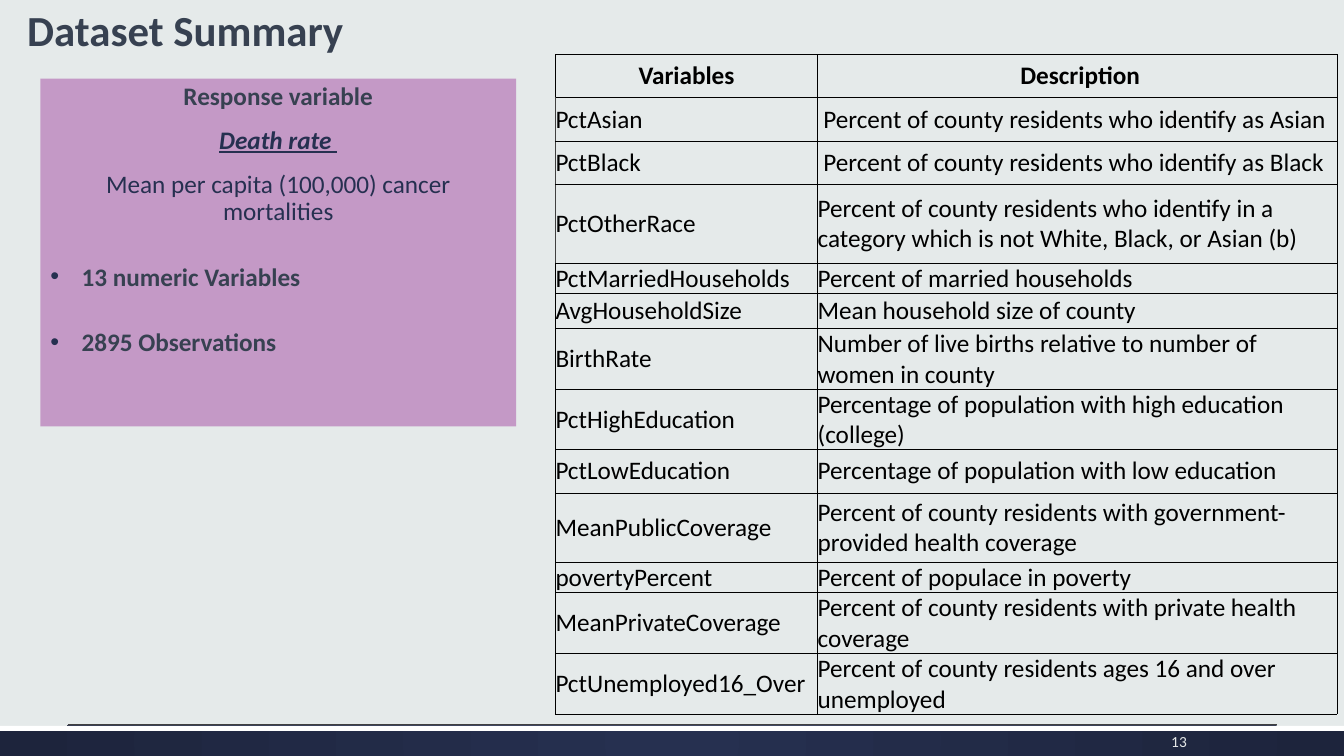
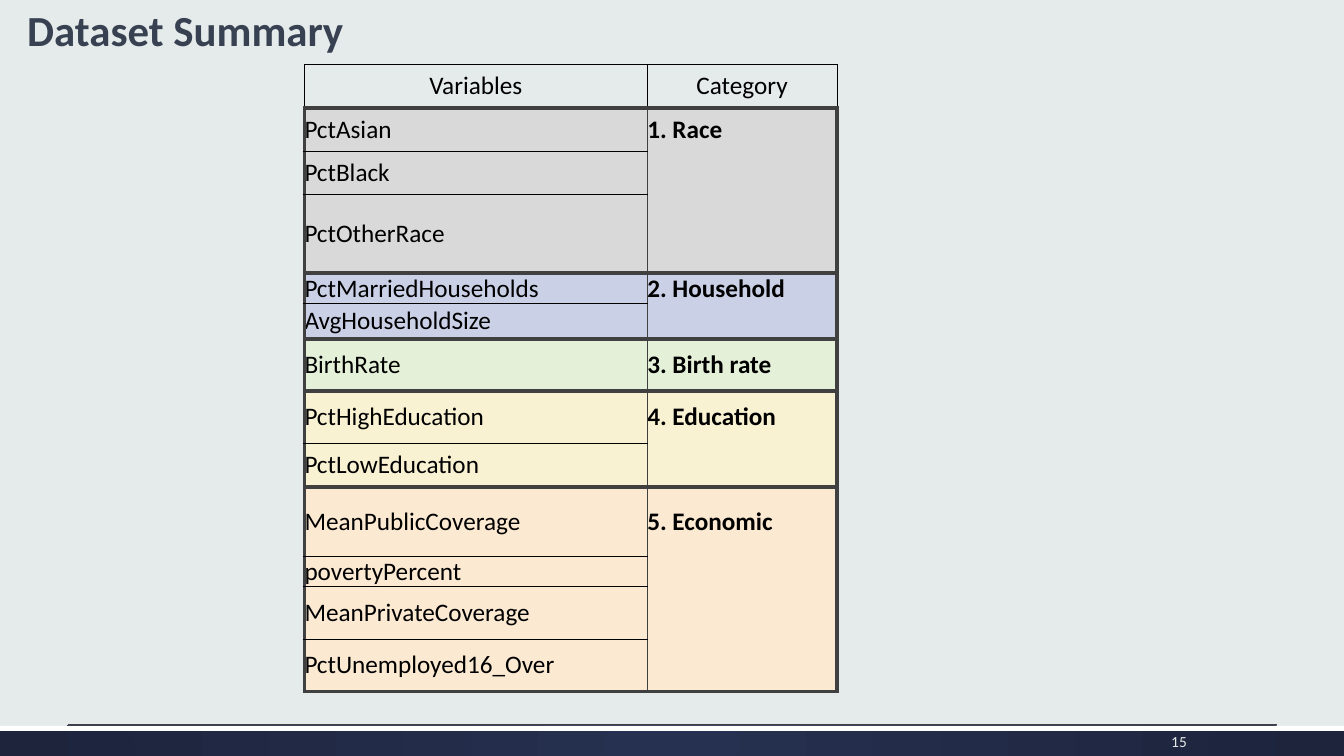
"""Build two dataset summary slides: variable descriptions and variable categories."""
from lxml.etree import SubElement
from pptx import Presentation
from pptx.dml.color import RGBColor
from pptx.enum.shapes import MSO_CONNECTOR, MSO_SHAPE
from pptx.enum.text import MSO_ANCHOR, MSO_AUTO_SIZE, PP_ALIGN
from pptx.oxml.ns import qn
from pptx.util import Inches, Pt

COLORS = {
    "background": "E5EAEA", "navy": "263050", "midnight": "1D243C", "white": "FFFFFF",
    "slate": "374151", "purple": "942092", "number": "E5E8E8", "black": "000000",
    "frame": "404040", "race": "D9D9D9", "household": "CAD0E6", "birth": "E4F0D8",
    "education": "F9F2D2", "economic": "FCE9D2",
}
RGB = {name: RGBColor.from_string(value) for name, value in COLORS.items()}
HAIRLINE, RULE, THICK = ("black", 0.5), ("frame", 1), ("frame", 3)

GROUPS = [
    ("1. Race", "race", [
        ("PctAsian", " Percent of county residents who identify as Asian", 0.43),
        ("PctBlack", " Percent of county residents who identify as Black", 0.43),
        ("PctOtherRace", "Percent of county residents who identify in a category "
         "which is not White, Black, or Asian (b)", 0.78)]),
    ("2. Household", "household", [
        ("PctMarriedHouseholds", "Percent of married households", 0.3),
        ("AvgHouseholdSize", "Mean household size of county", 0.35)]),
    ("3. Birth rate", "birth", [
        ("BirthRate", "Number of live births relative to number of women in county", 0.52)]),
    ("4. Education", "education", [
        ("PctHighEducation", "Percentage of population with high education (college)", 0.52),
        ("PctLowEducation", "Percentage of population with low education", 0.43)]),
    ("5. Economic", "economic", [
        ("MeanPublicCoverage",
         "Percent of county residents with government-provided health coverage", 0.69),
        ("povertyPercent", "Percent of populace in poverty", 0.3),
        ("MeanPrivateCoverage", "Percent of county residents with private health coverage", 0.52),
        ("PctUnemployed16_Over", "Percent of county residents ages 16 and over unemployed", 0.52)]),
]


def style_paragraph(paragraph, size, color, bold=False, align=PP_ALIGN.LEFT):
    paragraph.alignment = align
    for run in paragraph.runs:
        run.font.name = "Calibri"
        run.font.size = Pt(size)
        run.font.bold = bold
        run.font.color.rgb = RGB[color]


def set_borders(cell, left, right, top, bottom):
    properties = cell._tc.get_or_add_tcPr()
    sides = zip(("a:lnL", "a:lnR", "a:lnT", "a:lnB"), (left, right, top, bottom))
    for position, (tag, border) in enumerate(sides):
        line = SubElement(properties, qn(tag))
        if border:
            color, width = border
            line.set("w", str(Pt(width)))
            SubElement(SubElement(line, qn("a:solidFill")), qn("a:srgbClr"), val=COLORS[color])
        else:
            SubElement(line, qn("a:noFill"))
        properties.insert(position, line)


prs = Presentation()
prs.slide_width, prs.slide_height = Inches(13.33), Inches(7.5)
master = prs.slide_master
master.background.fill.solid()
master.background.fill.fore_color.rgb = RGB["background"]

for layout_index, number in ((1, "13"), (5, "15")):
    slide = prs.slides.add_slide(prs.slide_layouts[layout_index])
    title = slide.shapes.title
    title.left, title.top, title.width, title.height = map(Inches, (0.17, 0.05, 4.42, 0.55))
    title.text_frame.text = "Dataset Summary"
    title.text_frame.vertical_anchor = MSO_ANCHOR.MIDDLE
    title.text_frame.auto_size = MSO_AUTO_SIZE.NONE
    title.text_frame.paragraphs[0].line_spacing = 0.9
    style_paragraph(title.text_frame.paragraphs[0], 30.6, "slate", bold=True)

    page = slide.shapes.add_textbox(Inches(11.17), Inches(7.23), Inches(0.7), Inches(0.26))
    page.text_frame.word_wrap = True
    page.text_frame.vertical_anchor = MSO_ANCHOR.MIDDLE
    page.text_frame.text = number
    style_paragraph(page.text_frame.paragraphs[0], 11, "number", align=PP_ALIGN.RIGHT)

descriptions, categories = prs.slides

footer = descriptions.shapes.add_shape(
    MSO_SHAPE.RECTANGLE, 0, Inches(7.2), prs.slide_width, Inches(0.3))
footer.fill.gradient()
for stop, color in zip(footer.fill.gradient_stops, ("navy", "midnight")):
    stop.color.rgb = RGB[color]
gradient = footer.element.spPr.find(qn("a:gradFill"))
gradient.remove(gradient.find(qn("a:lin")))
radial = SubElement(gradient, qn("a:path"), path="circle")
SubElement(radial, qn("a:fillToRect"), l="50000", t="50000", r="50000", b="50000")

strip = descriptions.shapes.add_shape(
    MSO_SHAPE.RECTANGLE, 0, Inches(7.2), prs.slide_width, Inches(0.05))
strip.fill.solid()
strip.fill.fore_color.rgb = RGB["white"]
for band in (footer, strip):
    band.line.fill.background()
    band.shadow.inherit = False

divider = descriptions.shapes.add_connector(
    MSO_CONNECTOR.STRAIGHT, Inches(0.67), Inches(7.19), Inches(12.67), Inches(7.19))
divider.line.color.rgb = RGB["frame"]
divider.line.width = Pt(0.75)
SubElement(divider.element.spPr, qn("a:effectLst"))

for shape_id, shared in enumerate((footer, strip, divider), start=20):
    shared.element.xpath(".//p:cNvPr")[0].set("id", str(shape_id))
    master.shapes.element.append(shared.element)

response = descriptions.placeholders[1]
response.left, response.top, response.width, response.height = map(
    Inches, (0.4, 0.78, 4.72, 3.45))
response.fill.solid()
response.fill.fore_color.rgb = RGB["purple"]
SubElement(response.element.spPr.find(qn("a:solidFill"))[0], qn("a:alpha"), val="40000")
response.text_frame.auto_size = MSO_AUTO_SIZE.NONE
response.text_frame.text = "\n".join((
    "Response variable", "Death rate ", "Mean per capita (100,000) cancer mortalities",
    "13 numeric Variables", "2895 Observations"))
for index, paragraph in enumerate(response.text_frame.paragraphs):
    bulleted = index > 2
    style_paragraph(paragraph, 18, "navy" if index in (1, 2) else "slate", bold=index != 2,
                    align=PP_ALIGN.LEFT if bulleted else PP_ALIGN.CENTER)
    paragraph.line_spacing = 1.6 if bulleted else 0.9
    paragraph.space_before = Pt(12)
    indent = Inches(0.31) if bulleted else 0
    properties = paragraph._p.get_or_add_pPr()
    properties.set("marL", str(indent))
    properties.set("indent", str(-indent))
    if bulleted:
        SubElement(SubElement(properties, qn("a:buClr")), qn("a:srgbClr"), val=COLORS["navy"])
        SubElement(properties, qn("a:buChar"), char="•")
    else:
        SubElement(properties, qn("a:buNone"))
death_rate = response.text_frame.paragraphs[1].runs[0].font
death_rate.italic = death_rate.underline = True

description_rows = [("Variables", " Description")]
category_rows = [("Variables", "Category")]
heights = [0.43]
for category, _, members in GROUPS:
    for index, (variable, description, height) in enumerate(members):
        description_rows.append((variable, description))
        category_rows.append((variable, "" if index else category))
        heights.append(height)

tables = []
for slide, left, top, widths, rows, bold_header in (
        (descriptions, 5.51, 0.54, (2.6, 5.15), description_rows, True),
        (categories, 3.02, 0.64, (3.4, 1.88), category_rows, False)):
    table = slide.shapes.add_table(len(rows), 2, Inches(left), Inches(top),
                                   Inches(sum(widths)), Inches(sum(heights))).table
    table.first_row = table.horz_banding = False
    for column, width in zip(table.columns, widths):
        column.width = Inches(width)
    for row_index, (row, texts, height) in enumerate(zip(table.rows, rows, heights)):
        row.height = Inches(height)
        header = row_index == 0
        for column_index, (cell, text) in enumerate(zip(row.cells, texts)):
            cell.text_frame.text = text
            cell.vertical_anchor = MSO_ANCHOR.MIDDLE
            cell.margin_left = cell.margin_right = cell.margin_top = cell.margin_bottom = 0
            cell.fill.background()
            is_category = column_index == 1 and slide is categories
            style_paragraph(cell.text_frame.paragraphs[0], 18, "black",
                            bold=bold_header if header else is_category,
                            align=PP_ALIGN.CENTER if header else PP_ALIGN.LEFT)
    tables.append(table)
description_table, category_table = tables

for row_index, row in enumerate(description_table.rows):
    for column_index, cell in enumerate(row.cells):
        race_edge = column_index == 0 and 1 <= row_index <= 3
        set_borders(cell, RULE if race_edge else HAIRLINE, HAIRLINE, HAIRLINE, HAIRLINE)

for cell in category_table.rows[0].cells:
    set_borders(cell, HAIRLINE, HAIRLINE, HAIRLINE, THICK)
row_index = 1
for _, color, members in GROUPS:
    for index in range(len(members)):
        variable_cell, category_cell = category_table.rows[row_index].cells
        for cell in (variable_cell, category_cell):
            cell.fill.solid()
            cell.fill.fore_color.rgb = RGB[color]
        first, last = index == 0, index == len(members) - 1
        set_borders(variable_cell, THICK, RULE,
                    THICK if first else HAIRLINE, THICK if last else HAIRLINE)
        set_borders(category_cell, RULE, THICK,
                    THICK if first else None, THICK if last else None)
        row_index += 1

prs.save("out.pptx")
